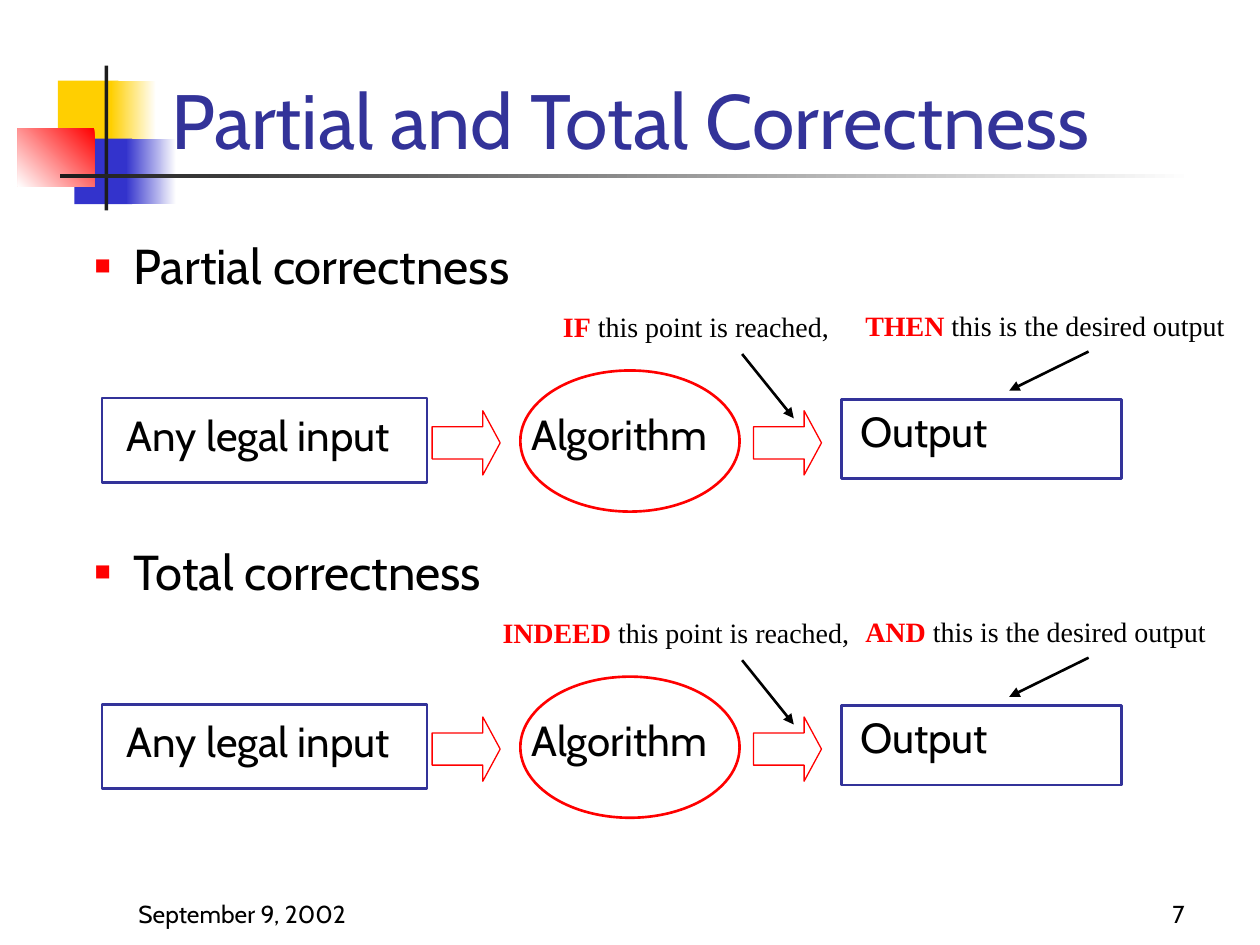
from lxml import etree
from pptx import Presentation
from pptx.dml.color import RGBColor
from pptx.enum.shapes import MSO_CONNECTOR, MSO_SHAPE
from pptx.enum.text import MSO_ANCHOR, MSO_AUTO_SIZE, PP_ALIGN
from pptx.oxml.ns import qn
from pptx.util import Inches, Pt

RECTANGLE = MSO_SHAPE.RECTANGLE
ELLIPSE = MSO_SHAPE.OVAL
RIGHT_ARROW = MSO_SHAPE.RIGHT_ARROW
STRAIGHT = MSO_CONNECTOR.STRAIGHT
TOP, BOTTOM = MSO_ANCHOR.TOP, MSO_ANCHOR.BOTTOM
LEFT, RIGHT = PP_ALIGN.LEFT, PP_ALIGN.RIGHT
NO_FIT = MSO_AUTO_SIZE.NONE

BLACK = RGBColor(0x00, 0x00, 0x00)
WHITE = RGBColor(0xFF, 0xFF, 0xFF)
CHARCOAL = RGBColor(0x1C, 0x1C, 0x1C)
RED = RGBColor(0xFF, 0x00, 0x00)
YELLOW = RGBColor(0xFF, 0xCF, 0x01)
BLUE = RGBColor(0x33, 0x33, 0xCC)
INDIGO = RGBColor(0x33, 0x33, 0x99)

SANS = "Cabin"
SERIF = "Times New Roman"
ROW_PITCH = 2.43


class SlideBuilder:
    def __init__(self, slide):
        self.slide = slide
        self.shapes = slide.shapes

    def shape(self, kind, box, line=None, width=1.5):
        shape = self.shapes.add_shape(kind, *map(Inches, box))
        shape.shadow.inherit = False
        shape.fill.background()
        if line is None:
            shape.line.fill.background()
        else:
            shape.line.color.rgb = line
            shape.line.width = Pt(width)
        return shape

    def block(self, box, color):
        fill = self.shape(RECTANGLE, box).fill
        fill.solid()
        fill.fore_color.rgb = color

    def fade(self, box, start, end, angle=180):
        fill = self.shape(RECTANGLE, box).fill
        fill.gradient()
        fill.gradient_angle = angle
        for stop, color in zip(fill.gradient_stops, (start, end)):
            stop.color.rgb = color

    def block_arrow(self, left, top):
        arrow = self.shape(RIGHT_ARROW, (left, top, 0.54, 0.51), RED, 0.75)
        arrow.adjustments[0] = 0.5
        arrow.adjustments[1] = 0.27

    def pointer(self, start, end):
        pointer = self.shapes.add_connector(STRAIGHT, *map(Inches, start + end))
        pointer.line.color.rgb = BLACK
        pointer.line.width = Pt(1.5)
        properties = pointer._element.spPr
        etree.SubElement(properties.find(qn("a:ln")), qn("a:tailEnd"), type="triangle")
        etree.SubElement(properties, qn("a:effectLst"))

    def style(self, paragraph, size, color=BLACK, font=SANS, align=LEFT):
        paragraph.alignment = align
        paragraph.font.name = font
        paragraph.font.size = Pt(size)
        paragraph.font.color.rgb = color

    def label(self, box, text, size=24, font=SANS, emphasis="", anchor=TOP, align=LEFT):
        frame = self.shapes.add_textbox(*map(Inches, box)).text_frame
        frame.word_wrap = True
        frame.vertical_anchor = anchor
        paragraph = frame.paragraphs[0]
        self.style(paragraph, size, font=font, align=align)
        if emphasis:
            strong = paragraph.add_run()
            strong.text = emphasis
            strong.font.bold = True
            strong.font.color.rgb = RED
        paragraph.add_run().text = text

    def placeholder(self, holder, box, text, anchor):
        holder.left, holder.top, holder.width, holder.height = map(Inches, box)
        self.shapes._spTree.append(holder._element)
        frame = holder.text_frame
        frame.text = text
        frame.auto_size = NO_FIT
        frame.vertical_anchor = anchor
        return frame.paragraphs[0]

    def title(self, box, text):
        paragraph = self.placeholder(self.shapes.title, box, text, BOTTOM)
        self.style(paragraph, 44, INDIGO)

    def bullet(self, holder, box, text):
        paragraph = self.placeholder(holder, box, text, TOP)
        paragraph.level = 1
        paragraph.space_before = Pt(7)
        properties = paragraph._p.get_or_add_pPr()
        properties.set("marL", str(Inches(0.81)))
        properties.set("indent", str(Inches(-0.31)))
        bullet_color = etree.SubElement(properties, qn("a:buClr"))
        etree.SubElement(bullet_color, qn("a:srgbClr"), val=str(RED))
        etree.SubElement(properties, qn("a:buSzPct"), val="55000")
        etree.SubElement(properties, qn("a:buChar"), char="■")
        self.style(paragraph, 28)

    def ornament(self):
        self.block((0.46, 0.64, 0.48, 0.52), YELLOW)
        self.fade((0.88, 0.64, 0.36, 0.52), WHITE, YELLOW)
        self.block((0.59, 1.1, 0.46, 0.52), BLUE)
        self.fade((1, 1.1, 0.4, 0.52), WHITE, BLUE)
        self.fade((0.14, 1.02, 0.61, 0.46), RED, WHITE, 225)
        self.block((0.83, 0.52, 0.03, 1.15), CHARCOAL)
        self.fade((0.48, 1.38, 9, 0.03), WHITE, CHARCOAL)

    def flow(self, top, condition, condition_left, result):
        self.shape(RECTANGLE, (0.81, top + 1.34, 2.58, 0.67), INDIGO)
        self.label((0.91, top + 1.38, 2.43, 0.9), "Any legal input")
        self.block_arrow(3.43, top + 1.44)
        self.shape(ELLIPSE, (4.13, top + 1.12, 1.74, 1.12), RED)
        self.label((4.12, top + 1.37, 1.76, 0.5), "Algorithm")
        self.block_arrow(5.98, top + 1.44)
        self.shape(RECTANGLE, (6.68, top + 1.35, 2.22, 0.63), INDIGO)
        self.label((6.73, top + 1.35, 2.13, 0.5), "Output")
        self.label((condition_left, top + 0.59, 3, 0.37), " this point is reached,",
                   16, SERIF, condition)
        self.pointer((5.89, top + 0.99), (6.3, top + 1.5))
        self.label((6.77, top + 0.58, 3.1, 0.37), " this is the desired output",
                   16, SERIF, result)
        self.pointer((8.64, top + 0.97), (8.01, top + 1.28))


def main():
    presentation = Presentation()
    presentation.slide_width = Inches(10)
    presentation.slide_height = Inches(7.5)
    slide = presentation.slides.add_slide(presentation.slide_layouts[3])
    builder = SlideBuilder(slide)
    holders = [slide.placeholders[1], slide.placeholders[2]]

    builder.ornament()
    builder.title((1.26, 0.11, 8.52, 1.25), "Partial and Total Correctness")
    rows = [
        ("Partial correctness", "IF", 4.37, "THEN"),
        ("Total correctness", "INDEED", 3.89, "AND"),
    ]
    for index, (heading, condition, condition_left, result) in enumerate(rows):
        top = 1.82 + index * ROW_PITCH
        builder.bullet(holders[index], (0.15, top, 9.14, 0.72), heading)
        builder.flow(top, condition, condition_left, result)

    builder.label((7.42, 6.92, 2.08, 0.5), "7", 14, anchor=BOTTOM, align=RIGHT)
    builder.label((1, 6.92, 2.08, 0.5), "September 9, 2002", 14, anchor=BOTTOM)
    presentation.save("out.pptx")


if __name__ == "__main__":
    main()
